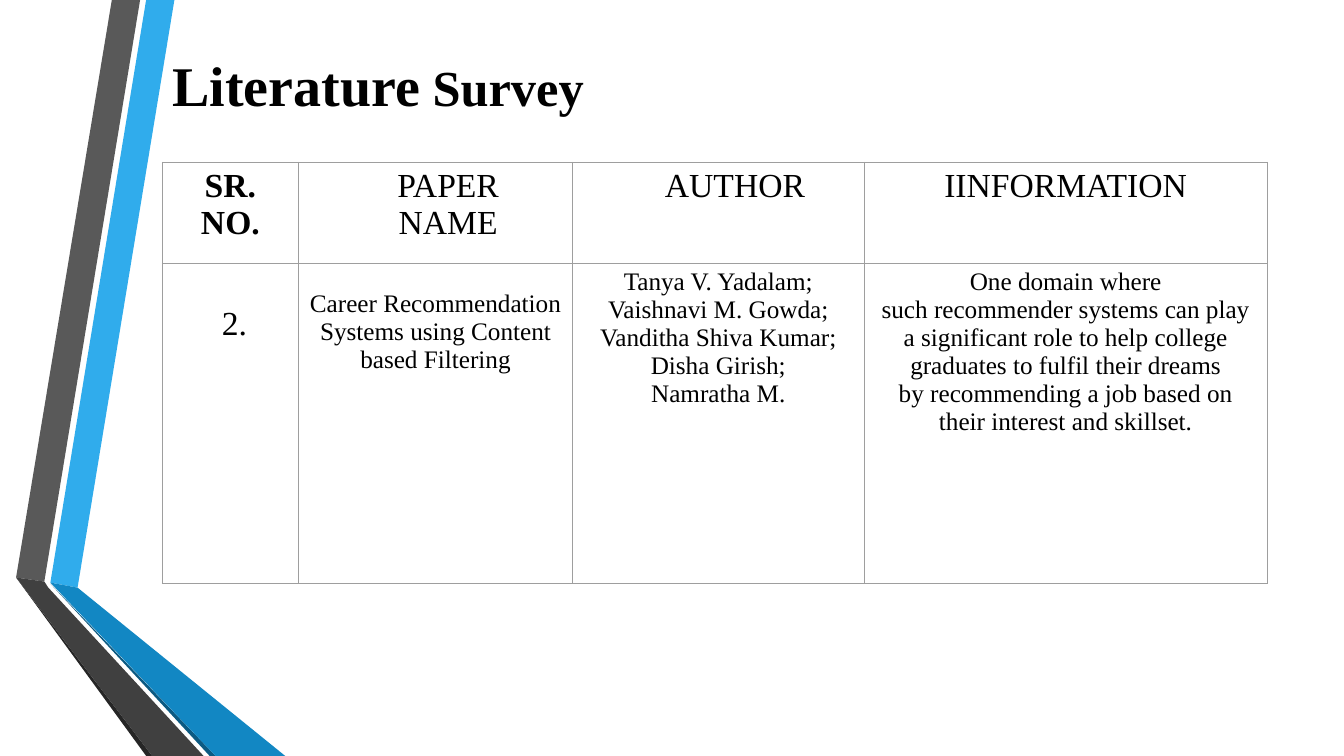
from lxml import etree
from pptx import Presentation
from pptx.dml.color import RGBColor
from pptx.enum.text import MSO_ANCHOR, PP_ALIGN
from pptx.oxml.ns import qn
from pptx.util import Inches, Pt

LEFT, CENTER = PP_ALIGN.LEFT, PP_ALIGN.CENTER
TOP, MIDDLE = MSO_ANCHOR.TOP, MSO_ANCHOR.MIDDLE
FONT = "Times New Roman"
BLACK = RGBColor(0, 0, 0)
GRID_GREY = RGBColor(0x9E, 0x9E, 0x9E)
SKY = RGBColor(0x30, 0xAC, 0xEC)
BLUE = RGBColor(0x12, 0x87, 0xC3)
DEEP_BLUE = RGBColor(0x0C, 0x5A, 0x82)
GREY = RGBColor(0x59, 0x59, 0x59)
CHARCOAL = RGBColor(0x40, 0x40, 0x40)
SOOT = RGBColor(0x26, 0x26, 0x26)

WIDTH, HEIGHT = 13.33, 7.5
MARGIN_LEFT = 1.61
TITLE_TOP, TITLE_HEIGHT = 0.18, 1.3
TABLE_TOP = 1.61
COLUMNS = [1.35, 2.72, 2.89, 4]
ROWS = [1, 3.18]
INSET_X, INSET_Y = 0.09, 0.05

TITLE = [("Literature", 40), (" Survey", 36)]

SURVEY = [
    [
        dict(lines=["SR.", "NO."], size=24, bold=True),
        dict(lines=["PAPER", "NAME"], size=24, indent=0.25),
        dict(lines=["AUTHOR"], size=24, indent=0.33),
        dict(lines=["IINFORMATION"], size=24),
    ],
    [
        dict(lines=["2."], size=24, indent=0.08, drop=0.37),
        dict(lines=["Career Recommendation Systems using Content based Filtering"],
             size=18, drop=0.22),
        dict(lines=["Tanya V. Yadalam;", "Vaishnavi M. Gowda;", "Vanditha Shiva Kumar;",
                    "Disha Girish;", "Namratha M."], size=18),
        dict(lines=["One domain where such~recommender systems can~play a significant role "
                    "to~help college graduates~to~fulfil their dreams by~recommending a job "
                    "based~on their interest and skillset."], size=18),
    ],
]

RIBBONS = [
    (SKY, [(0.5, 5.78), (0.77, 5.83), (1.73, 0), (1.45, 0)]),
    (GREY, [(1.39, 0), (1.11, 0), (0.16, 5.73), (0.44, 5.77)]),
    (SOOT, [(0.16, 5.73), (1.45, HEIGHT), (1.51, HEIGHT)]),
    (DEEP_BLUE, [(0.5, 5.79), (2.08, HEIGHT), (2.14, HEIGHT)]),
    (BLUE, [(0.5, 5.78), (2.14, HEIGHT), (2.83, HEIGHT), (0.77, 5.83)]),
    (CHARCOAL, [(2.02, HEIGHT), (0.48, 5.83), (0.44, 5.77), (0.16, 5.73), (1.51, HEIGHT)]),
]


def write_text(frame, paragraphs, bold=False, align=LEFT):
    for index, pieces in enumerate(paragraphs):
        paragraph = frame.paragraphs[0] if index == 0 else frame.add_paragraph()
        paragraph.alignment = align
        for words, size in pieces:
            run = paragraph.add_run()
            run.text = words.replace("~", chr(160))
            run.font.name = FONT
            run.font.size = Pt(size)
            run.font.bold = bold
            run.font.color.rgb = BLACK


def draw_ribbon(slide, color, points):
    corners = [(Inches(x), Inches(y)) for x, y in points]
    builder = slide.shapes.build_freeform(*corners[0])
    builder.add_line_segments(corners[1:], close=True)
    ribbon = builder.convert_to_shape()
    ribbon.shadow.inherit = False
    ribbon.fill.solid()
    ribbon.fill.fore_color.rgb = color
    ribbon.line.fill.background()


def draw_borders(cell):
    properties = cell._tc.get_or_add_tcPr()
    for side in ("a:lnL", "a:lnR", "a:lnT", "a:lnB"):
        border = etree.SubElement(properties, qn(side), w=str(Pt(0.75)))
        fill = etree.SubElement(border, qn("a:solidFill"))
        etree.SubElement(fill, qn("a:srgbClr"), val=str(GRID_GREY))


def fill_cell(cell, lines, size, bold=False, indent=0, drop=0):
    draw_borders(cell)
    cell.fill.background()
    cell.vertical_anchor = TOP
    cell.margin_left = Inches(INSET_X + indent)
    cell.margin_right = Inches(INSET_X)
    cell.margin_top = Inches(INSET_Y + drop)
    cell.margin_bottom = Inches(INSET_Y)
    write_text(cell.text_frame, [[(line, size)] for line in lines], bold=bold, align=CENTER)


def draw_survey(slide):
    table = slide.shapes.add_table(
        len(ROWS), len(COLUMNS), Inches(MARGIN_LEFT), Inches(TABLE_TOP),
        Inches(sum(COLUMNS)), Inches(sum(ROWS))).table
    table.first_row = table.horz_banding = False
    for column, width in zip(table.columns, COLUMNS):
        column.width = Inches(width)
    for row, height, contents in zip(table.rows, ROWS, SURVEY):
        row.height = Inches(height)
        for cell, content in zip(row.cells, contents):
            fill_cell(cell, **content)


def main():
    deck = Presentation()
    deck.slide_width, deck.slide_height = Inches(WIDTH), Inches(HEIGHT)
    slide = deck.slides.add_slide(deck.slide_layouts[5])
    for color, points in RIBBONS:
        draw_ribbon(slide, color, points)
    title = slide.shapes.title
    slide.shapes._spTree.append(title._element)
    title.left, title.top = Inches(MARGIN_LEFT), Inches(TITLE_TOP)
    title.width, title.height = Inches(sum(COLUMNS)), Inches(TITLE_HEIGHT)
    title.text_frame.vertical_anchor = MIDDLE
    write_text(title.text_frame, [TITLE], bold=True)
    draw_survey(slide)
    deck.save("out.pptx")


if __name__ == "__main__":
    main()
